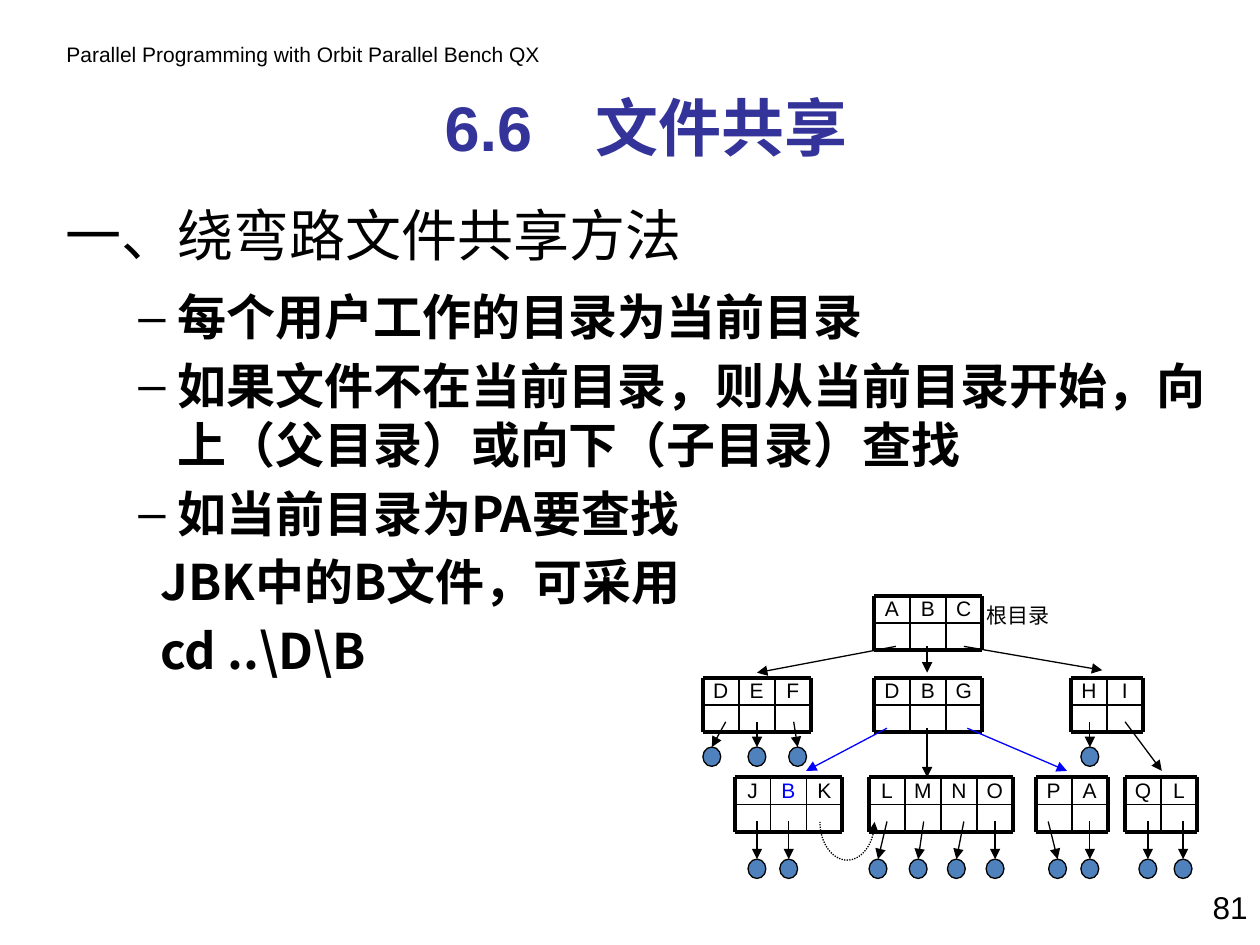
import math

from lxml import etree
from pptx import Presentation
from pptx.dml.color import RGBColor
from pptx.enum.dml import MSO_LINE
from pptx.enum.shapes import MSO_CONNECTOR, MSO_SHAPE
from pptx.enum.text import MSO_ANCHOR, PP_ALIGN
from pptx.oxml.ns import qn
from pptx.util import Cm, Pt

STRAIGHT = MSO_CONNECTOR.STRAIGHT
OVAL = MSO_SHAPE.OVAL
DOTTED = MSO_LINE.ROUND_DOT
TOP, MIDDLE = MSO_ANCHOR.TOP, MSO_ANCHOR.MIDDLE
LEFT, CENTER, RIGHT = PP_ALIGN.LEFT, PP_ALIGN.CENTER, PP_ALIGN.RIGHT

BLACK = RGBColor(0x00, 0x00, 0x00)
BLUE = RGBColor(0x00, 0x00, 0xFF)
NAVY = RGBColor(0x33, 0x33, 0x99)
NODE_FILL = RGBColor(0x4F, 0x81, 0xBD)

ARIAL = "Arial"
CJK = "Noto Sans CJK SC"

CELL_W, ROW_H = 0.724, 0.55
NODE_W, NODE_H = 0.36, 0.39

BULLETS = [
    "每个用户工作的目录为当前目录",
    "如果文件不在当前目录，则从当前目录开始，向上（父目录）或向下（子目录）查找",
    "如当前目录为PA要查找",
]
CONTINUED = ["JBK中的B文件，可采用", "cd ..\\D\\B"]

DIRECTORIES = [
    ("ABC", 3.45, 0), ("DEF", 0, 1.65), ("DBG", 3.45, 1.65), ("HI", 7.42, 1.65),
    ("JBK", 0.64, 3.66), ("LMNO", 3.35, 3.66), ("PA", 6.71, 3.66), ("QL", 8.51, 3.66),
]
SHARED_FILE = ("JBK", "B")
BRANCHES = [
    (3.89, 1.02, 1.09, 1.55, BLACK), (4.52, 1.02, 4.52, 1.55, BLACK),
    (5.26, 1.02, 8.05, 1.5, BLACK), (3.71, 2.67, 2.08, 3.53, BLUE),
    (4.52, 2.67, 4.52, 3.66, BLACK), (5.33, 2.67, 7.34, 3.53, BLUE),
    (8.51, 2.54, 9.25, 3.53, BLACK),
]
FILE_ROWS = [
    (2.54, 3.05, [(0.46, 0.18), (1.09, 1.09), (1.83, 1.91), (7.8, 7.8)]),
    (4.55, 5.31, [(1.09, 1.09), (1.73, 1.73), (3.71, 3.53), (4.45, 4.34), (5.26, 5.11),
                  (5.89, 5.89), (6.96, 7.15), (7.8, 7.8), (8.97, 8.97), (9.68, 9.68)]),
]


def add_run(p, text, size, font=ARIAL, color=BLACK, bold=False):
    """Add one formatted run to a paragraph."""
    r = p.add_run()
    r.text = text
    r.font.size = Pt(size)
    r.font.bold = bold
    r.font.color.rgb = color
    r.font.name = font
    etree.SubElement(r.font._element, qn("a:ea"), typeface=CJK)


def add_frame(shapes, box, anchor=TOP, inset=None, wrap=True):
    """Add a text box and return its text frame."""
    tf = shapes.add_textbox(*map(Cm, box)).text_frame
    tf.word_wrap = wrap
    tf.vertical_anchor = anchor
    if inset is not None:
        tf.margin_left = tf.margin_right = tf.margin_top = tf.margin_bottom = Cm(inset)
    return tf


def add_label(shapes, box, text, size, align=LEFT, anchor=TOP, inset=None, wrap=True, **style):
    """Add a text box holding a single run."""
    p = add_frame(shapes, box, anchor, inset, wrap).paragraphs[0]
    p.alignment = align
    add_run(p, text, size, **style)


def add_line(shapes, x1, y1, x2, y2, width=0.75, color=BLACK, arrow=False):
    """Add a straight line, with an arrowhead at its end if asked."""
    c = shapes.add_connector(STRAIGHT, Cm(x1), Cm(y1), Cm(x2), Cm(y2))
    c.line.width = Pt(width)
    c.line.color.rgb = color
    sp_pr = c._element.spPr
    if arrow:
        etree.SubElement(sp_pr.find(qn("a:ln")), qn("a:tailEnd"), type="triangle")
    etree.SubElement(sp_pr, qn("a:effectLst"))


def add_body(shapes, box):
    """Write the bulleted points and their continuation lines."""
    tf = add_frame(shapes, box)
    for i, text in enumerate(BULLETS + CONTINUED):
        p = tf.add_paragraph() if i else tf.paragraphs[0]
        p_pr = p._p.get_or_add_pPr()
        if i < len(BULLETS):
            p_pr.set("marL", str(Cm(2.06)))
            p_pr.set("indent", str(-Cm(0.79)))
            etree.SubElement(p_pr, qn("a:buFont"), typeface=ARIAL)
            etree.SubElement(p_pr, qn("a:buChar"), char="–")
        else:
            p_pr.set("marL", str(Cm(1.72)))
        if i:
            p.space_before = Pt(5.6)
        add_run(p, text, 28, font=CJK, bold=True)


def add_directory(shapes, x, y, names):
    """Draw a directory: a row of names over a row of empty slots."""
    right, bottom = x + CELL_W * len(names), y + 2 * ROW_H
    for i, name in enumerate(names):
        color = BLUE if (names, name) == SHARED_FILE else BLACK
        add_label(shapes, (x + i * CELL_W, y, CELL_W, ROW_H), name, 12,
                  align=CENTER, inset=0, color=color)
    for row, width in enumerate((2.25, 1, 2.25)):
        add_line(shapes, x, y + row * ROW_H, right, y + row * ROW_H, width)
    for i in range(len(names) + 1):
        edge = x + i * CELL_W
        add_line(shapes, edge, y, edge, bottom, 2.25 if i in (0, len(names)) else 1)


def add_file(shapes, x1, y1, x2, y2):
    """Draw an arrow down to a file node."""
    add_line(shapes, x1, y1, x2, y2, arrow=True)
    sp = shapes.add_shape(OVAL, Cm(x2 - NODE_W / 2), Cm(y2), Cm(NODE_W), Cm(NODE_H))
    sp.shadow.inherit = False
    sp.fill.solid()
    sp.fill.fore_color.rgb = NODE_FILL
    sp.line.color.rgb = BLACK
    sp.line.width = Pt(0.75)


def add_shared_link(shapes, cx, cy, rx, ry, steps=32):
    """Draw the dotted half ellipse that points back to the shared file."""
    angles = [math.pi * i / steps for i in range(steps + 1)]
    points = [(Cm(cx + rx * math.cos(a)), Cm(cy + ry * math.sin(a))) for a in angles]
    builder = shapes.build_freeform(*points[0])
    builder.add_line_segments(points[1:], close=False)
    sp = builder.convert_to_shape()
    sp.shadow.inherit = False
    sp.fill.background()
    sp.line.color.rgb = BLACK
    sp.line.width = Pt(0.75)
    sp.line.dash_style = DOTTED
    etree.SubElement(sp._element.spPr.find(qn("a:ln")), qn("a:headEnd"), type="triangle")


def add_tree(shapes, left, top):
    """Draw the directory tree from its top left corner."""
    group = shapes.add_group_shape().shapes
    for names, x, y in DIRECTORIES:
        add_directory(group, left + x, top + y, names)
    for x1, y1, x2, y2, color in BRANCHES:
        add_line(group, left + x1, top + y1, left + x2, top + y2, color=color, arrow=True)
    for y1, y2, files in FILE_ROWS:
        for x1, x2 in files:
            add_file(group, left + x1, top + y1, left + x2, top + y2)
    add_shared_link(group, left + 2.91, top + 4.56, 0.55, 0.77)
    add_label(group, (left + 5.72, top + 0.13, 1.35, 0.51), "根目录", 12, inset=0, wrap=False)


def main():
    """Build the file sharing slide."""
    prs = Presentation()
    prs.slide_width, prs.slide_height = Cm(25.4), Cm(19.05)
    shapes = prs.slides.add_slide(prs.slide_layouts[6]).shapes
    add_label(shapes, (1.09, 0.71, 10.41, 0.76),
              "Parallel Programming with Orbit Parallel Bench QX", 12, wrap=False)
    add_label(shapes, (1.07, 3.76, 14.4, 1.9), "一、绕弯路文件共享方法", 32,
              anchor=MIDDLE, font=CJK)
    add_label(shapes, (1.27, 1.65, 23.5, 1.78), "6.6　文件共享", 36,
              align=CENTER, color=NAVY, bold=True)
    add_body(shapes, (1.27, 5.66, 23.5, 11.43))
    add_tree(shapes, 14.17, 12.01)
    add_label(shapes, (23.7, 17.78, 1.7, 1.27), "81", 18, align=RIGHT)
    prs.save("out.pptx")


if __name__ == "__main__":
    main()
